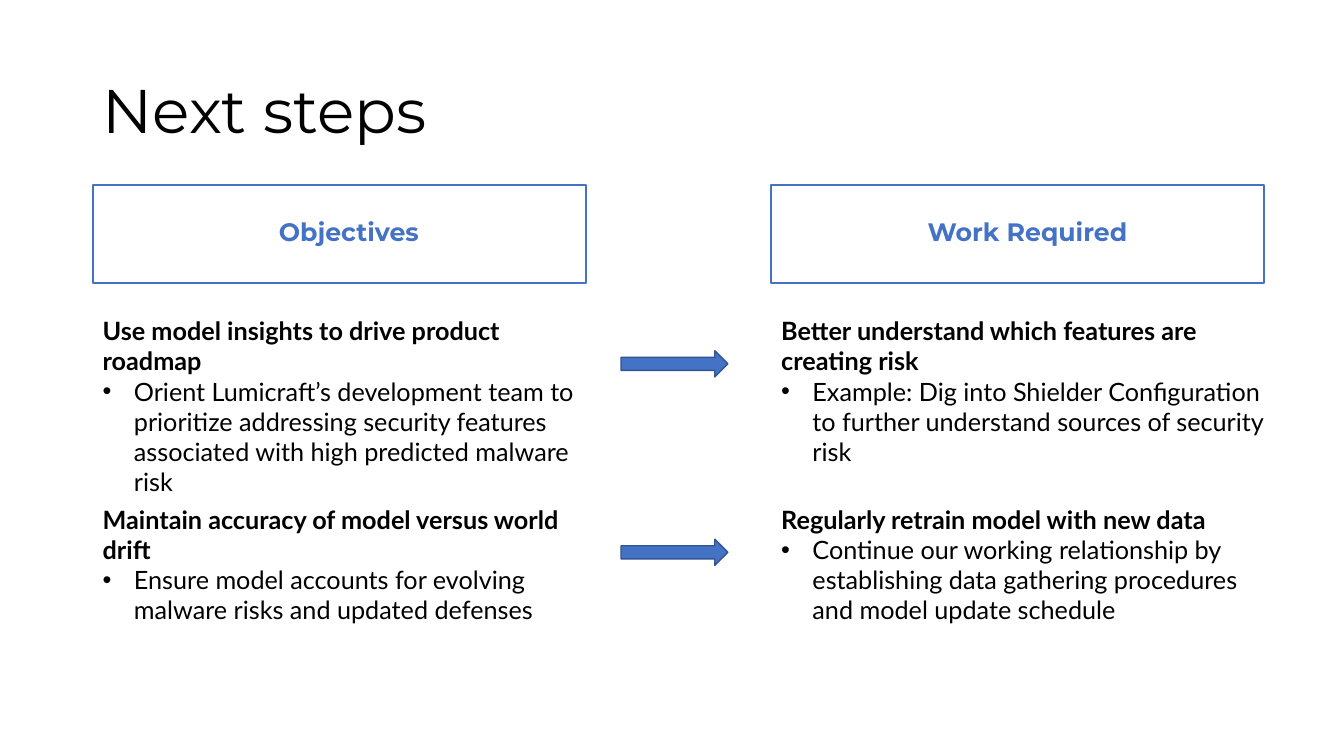
from dataclasses import dataclass

from lxml import etree
from pptx import Presentation
from pptx.dml.color import RGBColor
from pptx.enum.shapes import MSO_SHAPE
from pptx.enum.text import MSO_ANCHOR, PP_ALIGN
from pptx.oxml.ns import qn
from pptx.util import Emu, Pt

RECT = MSO_SHAPE.RECTANGLE
ARROW = MSO_SHAPE.RIGHT_ARROW
MIDDLE = MSO_ANCHOR.MIDDLE
CENTER = PP_ALIGN.CENTER

EMU_PER_PX = 9144  # 100 px to the inch
BLUE, DARK_BLUE, BLACK = "4472C4", "325491", "000000"
HEADING_FONT, BODY_FONT = "Montserrat", "Lato"
COLUMN_W = 489
FIRST_ROW, ROW_STEP = 308, 187
ARROW_DROP = 40
BULLET_INDENT = 31


@dataclass
class Step:
    heading: str
    detail: str
    width: int = COLUMN_W


@dataclass
class Column:
    left: int
    title: str
    steps: list[Step]


COLUMNS = [
    Column(92, "Objectives", [
        Step("Use model insights to drive product roadmap",
             "Orient Lumicraft’s development team to prioritize addressing security "
             "features associated with high predicted malware risk"),
        Step("Maintain accuracy of model versus world drift",
             "Ensure model accounts for evolving malware risks and updated defenses"),
    ]),
    Column(765, "Work Required", [
        Step("Better understand which features are\ncreating risk",
             "Example: Dig into Shielder Configuration to further understand "
             "sources of security risk", 507),
        Step("Regularly retrain model with new data",
             "Continue our working relationship by establishing data gathering "
             "procedures and model update schedule"),
    ]),
]


def px(n: int) -> Emu:
    return Emu(n * EMU_PER_PX)


def color(value: str) -> RGBColor:
    return RGBColor.from_string(value)


def write(p, text: str, size: int, font: str, hue: str, bold: bool = False) -> None:
    p.text = text
    p.font.size = Pt(size)
    p.font.name = font
    p.font.bold = bold
    p.font.color.rgb = color(hue)


def add_text_box(s, left: int, top: int, width: int, height: int):
    tf = s.shapes.add_textbox(px(left), px(top), px(width), px(height)).text_frame
    tf.word_wrap = True
    return tf


def add_bullet(p) -> None:
    pPr = p._p.get_or_add_pPr()
    pPr.set("marL", str(px(BULLET_INDENT)))
    pPr.set("indent", str(-px(BULLET_INDENT)))
    bullet = etree.Element(qn("a:buChar"), char="•")
    font = etree.Element(qn("a:buFont"), typeface="Arial")
    pPr.insert(0, font)
    pPr.insert(1, bullet)


def add_title(s, text: str) -> None:
    tf = add_text_box(s, 92, 40, 1150, 145)
    tf.vertical_anchor = MIDDLE
    p = tf.paragraphs[0]
    p.line_spacing = 0.9
    write(p, text, 44, HEADING_FONT, BLACK)


def add_header(s, column: Column) -> None:
    sp = s.shapes.add_shape(RECT, px(column.left), px(184), px(COLUMN_W), px(97))
    sp.shadow.inherit = False
    sp.fill.background()
    sp.line.color.rgb = color(BLUE)
    sp.line.width = Pt(1.5)
    tf = sp.text_frame
    tf.word_wrap = True
    tf.vertical_anchor = MIDDLE
    tf.margin_left, tf.margin_top = px(29), 0
    tf.margin_right, tf.margin_bottom = px(10), px(5)
    p = tf.paragraphs[0]
    p.alignment = CENTER
    write(p, column.title, 18, HEADING_FONT, BLUE, bold=True)


def add_step(s, step: Step, left: int, top: int) -> None:
    tf = add_text_box(s, left, top, step.width, 162)
    write(tf.paragraphs[0], step.heading, 18, BODY_FONT, BLACK, bold=True)
    p = tf.add_paragraph()
    write(p, step.detail, 18, BODY_FONT, BLACK)
    add_bullet(p)


def add_arrow(s, top: int) -> None:
    sp = s.shapes.add_shape(ARROW, px(616), px(top), px(106), px(26))
    sp.shadow.inherit = False
    sp.fill.solid()
    sp.fill.fore_color.rgb = color(BLUE)
    sp.line.color.rgb = color(DARK_BLUE)
    sp.line.width = Pt(1)


def main() -> None:
    prs = Presentation()
    prs.slide_width, prs.slide_height = px(1333), px(750)
    s = prs.slides.add_slide(prs.slide_layouts[6])

    add_title(s, "Next steps")
    for column in COLUMNS:
        add_header(s, column)
        for row, step in enumerate(column.steps):
            add_step(s, step, column.left, FIRST_ROW + row * ROW_STEP)
    for row in range(len(COLUMNS[0].steps)):
        add_arrow(s, FIRST_ROW + ARROW_DROP + row * ROW_STEP)

    prs.save("out.pptx")


if __name__ == "__main__":
    main()
